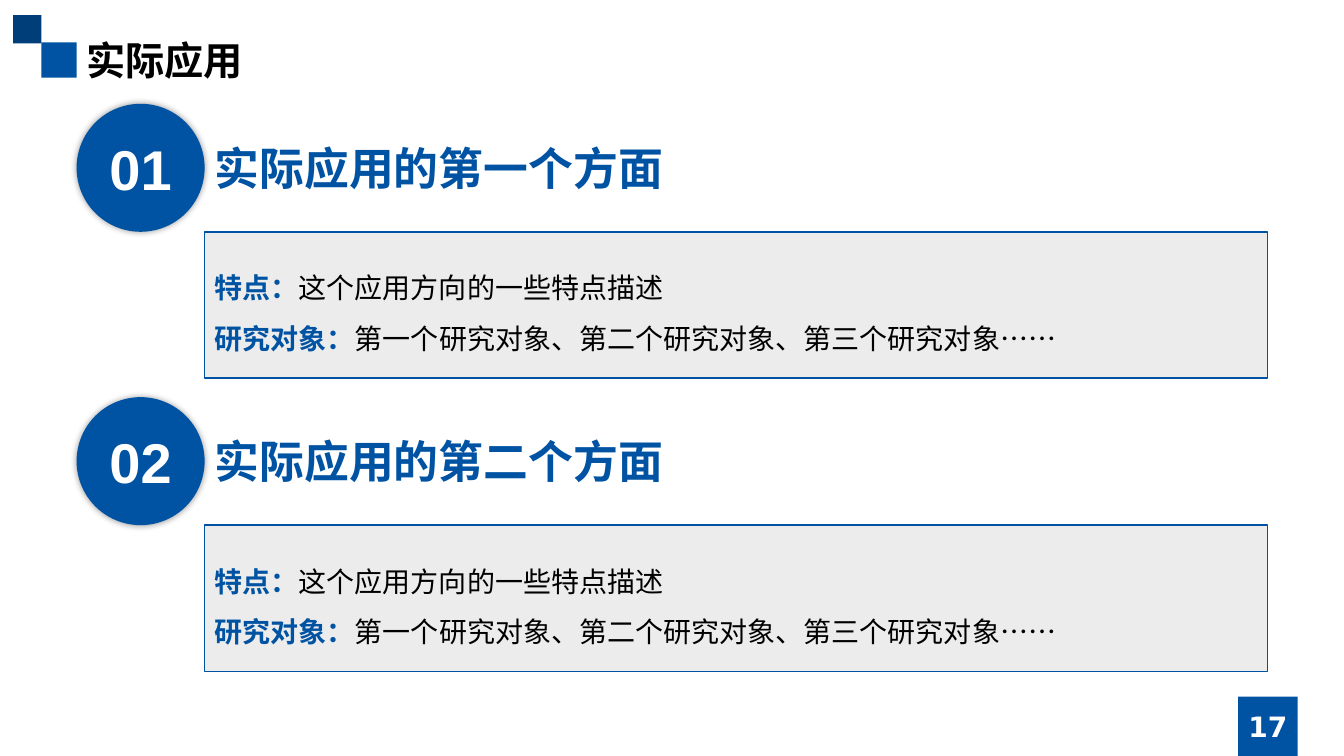
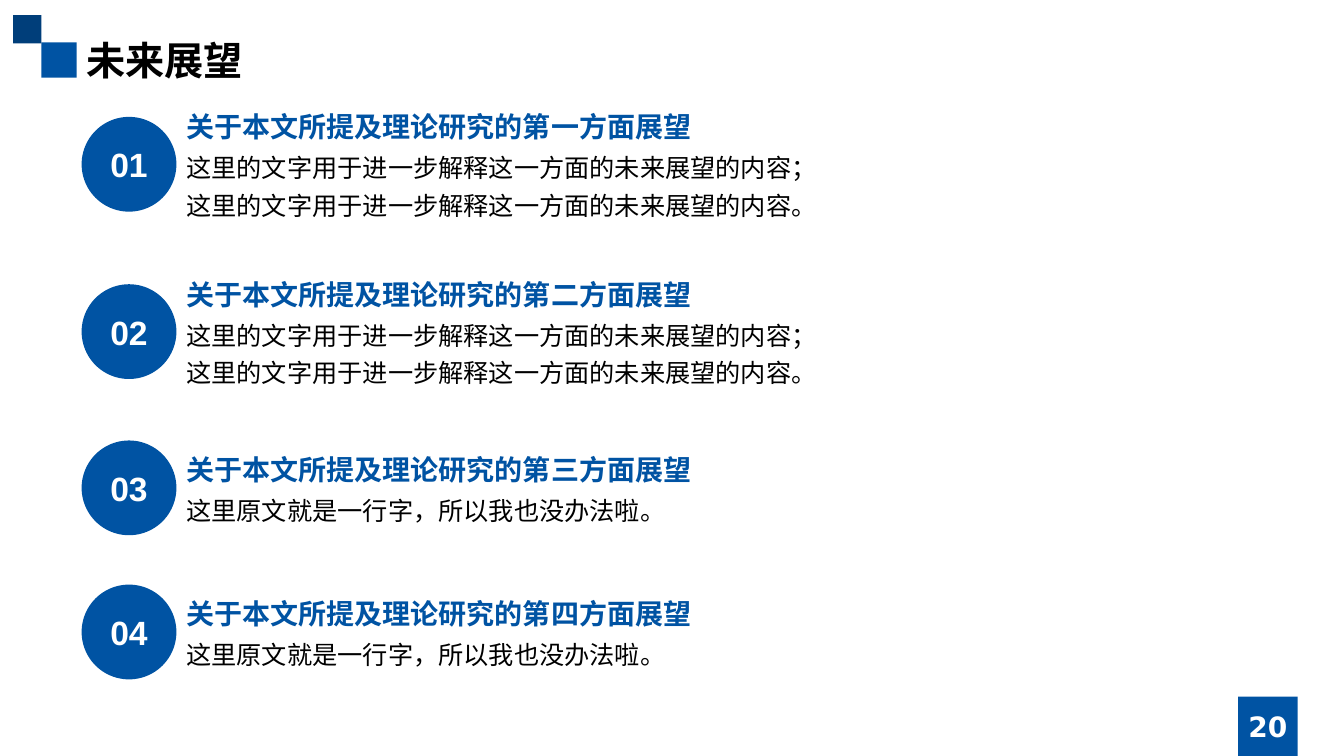
from lxml import etree
from pptx import Presentation
from pptx import util as u
from pptx.dml.color import RGBColor
from pptx.enum import shapes, text
from pptx.oxml import ns

BLUE = RGBColor(0x00, 0x53, 0xA3)
NAVY = RGBColor(0x00, 0x3E, 0x7A)
GREY = RGBColor(0xEC, 0xEC, 0xEC)
BLACK = RGBColor(0, 0, 0)
WHITE = RGBColor(255, 255, 255)

HAN, SANS, WIDE = "Noto Sans CJK SC", "Arial", "DejaVu Sans"
RECT, OVAL = shapes.MSO_SHAPE.RECTANGLE, shapes.MSO_SHAPE.OVAL
LEFT, MID = text.PP_ALIGN.LEFT, text.PP_ALIGN.CENTER
WIDTH, HEIGHT = 13.33, 7.5
EDGE = 0.76     # left edge of titles and large discs
RIGHT = 12.57   # right edge of content


def inches(*box):
    return [u.Inches(v) for v in box]


def write(frame, paras, size=20, font=HAN, color=BLACK, bold=False,
          align=LEFT, space=None):
    """Each paragraph is a string or a list of (string, color, bold) runs."""
    for i, para in enumerate(paras):
        p = frame.paragraphs[0] if i == 0 else frame.add_paragraph()
        p.alignment = align
        if space:
            p.line_spacing = space
        runs = [(para, color, bold)] if isinstance(para, str) else para
        for words, ink, thick in runs:
            run = p.add_run()
            run.text = words
            run.font.size = u.Pt(size)
            run.font.name = font
            run.font.bold = thick
            run.font.color.rgb = ink
            # East Asian glyphs need their own font entry
            east = etree.SubElement(run.font._element, ns.qn("a:ea"))
            east.set("typeface", HAN)


def label(slide, box, paras, **style):
    frame = slide.shapes.add_textbox(*inches(*box)).text_frame
    frame.word_wrap = True
    write(frame, paras, **style)


def block(slide, kind, box, fill, line=None):
    shape = slide.shapes.add_shape(kind, *inches(*box))
    shape.shadow.inherit = False
    shape.fill.solid()
    shape.fill.fore_color.rgb = fill
    if line:
        shape.line.color.rgb = line
        shape.line.width = u.Pt(1)
    else:
        shape.line.fill.background()
    return shape


def badge(slide, kind, box, words, **style):
    """A blue shape with a centred number."""
    shape = block(slide, kind, box, BLUE)
    frame = shape.text_frame
    frame.margin_left = frame.margin_right = 0
    frame.margin_top = frame.margin_bottom = 0
    frame.word_wrap = False
    frame.vertical_anchor = text.MSO_ANCHOR.MIDDLE
    write(frame, [words], color=WHITE, bold=True, align=MID, **style)
    return shape


def glow(shape):
    """Soft shadow on all sides."""
    effects = shape._element.spPr.find(ns.qn("a:effectLst"))
    shade = etree.SubElement(effects, ns.qn("a:outerShdw"),
                             blurRad=str(u.Pt(5)), dist="0", algn="ctr",
                             rotWithShape="0")
    ink = etree.SubElement(shade, ns.qn("a:srgbClr"), val=str(BLACK))
    etree.SubElement(ink, ns.qn("a:alpha"), val="40000")


def page(deck, title, number):
    """Corner squares, title and page number."""
    slide = deck.slides.add_slide(deck.slide_layouts[6])
    block(slide, RECT, (0.41, 0.42, 0.35, 0.35), BLUE)
    block(slide, RECT, (0.13, 0.15, 0.28, 0.28), NAVY)
    side = 0.59
    badge(slide, RECT, (12.28, HEIGHT - side, side, side), number,
          size=20, font=WIDE)
    label(slide, (EDGE, 0.31, RIGHT - EDGE, 0.57), [title],
          size=28, bold=True)
    return slide


def aspect(slide, left, top, number, head, facts):
    """Large disc and heading above a grey panel of facts."""
    disc, panel = 1.27, 1.45
    glow(badge(slide, OVAL, (left, top, disc, disc), number,
               size=40, font=SANS))
    x, y = left + disc, top + disc
    label(slide, (x, top + (disc - 0.64) / 2, 5.91, 0.64), [head],
          size=32, color=BLUE, bold=True)
    block(slide, RECT, (x, y, RIGHT - x, panel), GREY, BLUE)
    paras = [[(name, BLUE, True), (words, BLACK, False)]
             for name, words in facts]
    label(slide, (x, y + 0.17, RIGHT - x, 1.11), paras,
          font=WIDE, space=1.5)


def outlook(slide, left, top, number, head, lines):
    """Small disc beside a heading and its lines, centred on the disc."""
    disc, row = 0.94, 0.38
    badge(slide, OVAL, (left, top, disc, disc), number,
          size=24, font=SANS)
    x = left + disc
    y = top + 0.26 - len(lines) * row / 2
    label(slide, (x, y, RIGHT - x, 0.44), [head],
          font=SANS, color=BLUE, bold=True)
    label(slide, (x, y + 0.35, RIGHT - x, 0.1 + len(lines) * row), lines,
          size=18, font=SANS, space=1.25)


def uses(deck):
    slide = page(deck, "实际应用", "17")
    facts = [("特点：", "这个应用方向的一些特点描述"),
             ("研究对象：", "第一个研究对象、第二个研究对象、第三个研究对象……")]
    for i, nth in enumerate("一二"):
        aspect(slide, EDGE, 1.03 + i * 2.91, f"{i + 1:02}",
               f"实际应用的第{nth}个方面", facts)


def future(deck):
    slide = page(deck, "未来展望", "20")
    stem = "这里的文字用于进一步解释这一方面的未来展望的内容"
    pair = [stem + "；", stem + "。"]
    single = ["这里原文就是一行字，所以我也没办法啦。"]
    items = [("一", 1.16, pair), ("二", 2.82, pair),
             ("三", 4.37, single), ("四", 5.8, single)]
    for i, (nth, top, lines) in enumerate(items, 1):
        outlook(slide, 0.81, top, f"{i:02}",
                f"关于本文所提及理论研究的第{nth}方面展望", lines)


def main():
    deck = Presentation()
    deck.slide_width, deck.slide_height = inches(WIDTH, HEIGHT)
    uses(deck)
    future(deck)
    deck.save("out.pptx")


if __name__ == "__main__":
    main()
